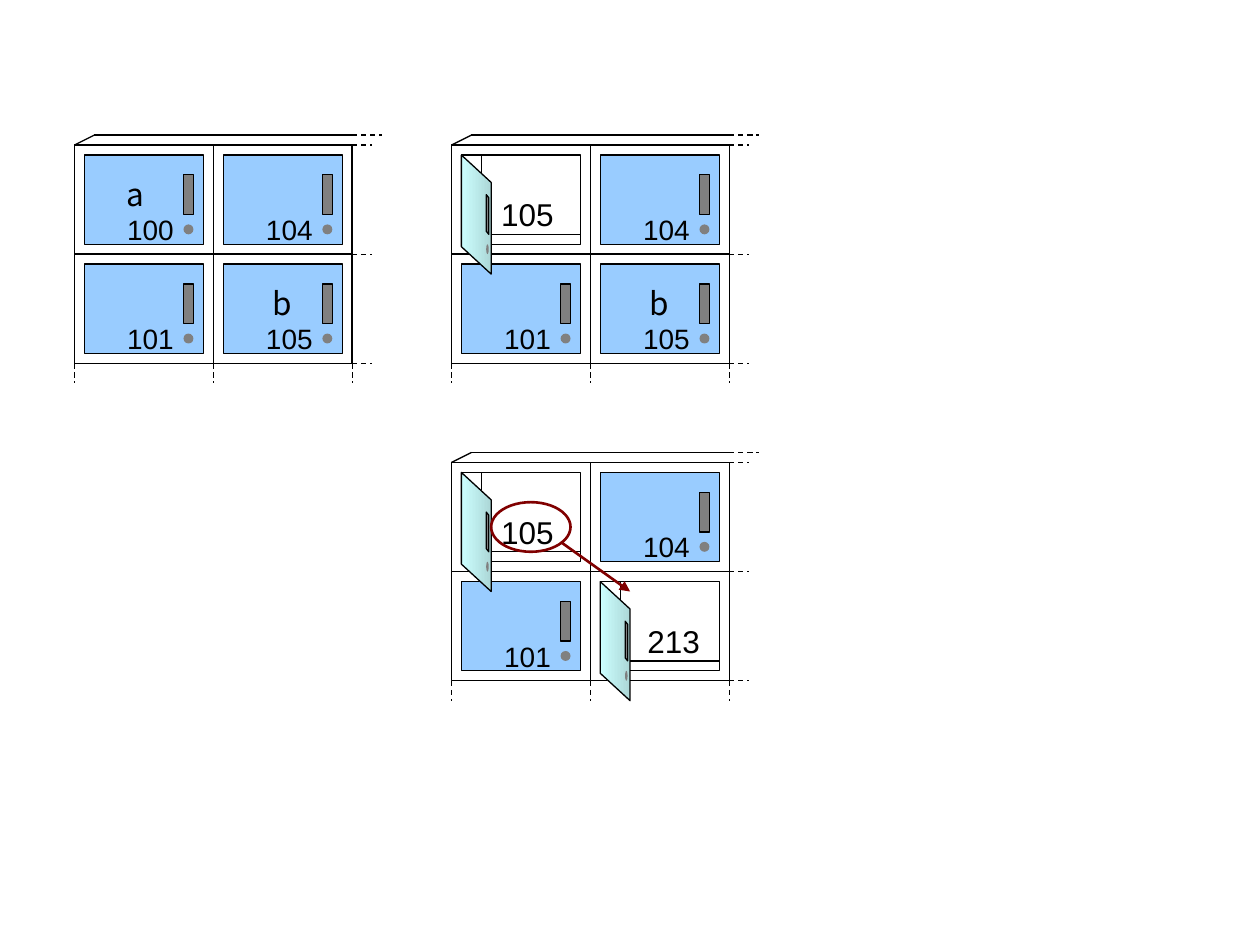
from dataclasses import dataclass

from lxml.etree import SubElement
from pptx import Presentation
from pptx.dml.color import RGBColor
from pptx.enum.dml import MSO_LINE
from pptx.enum.shapes import MSO_CONNECTOR, MSO_SHAPE
from pptx.enum.text import MSO_AUTO_SIZE, PP_ALIGN
from pptx.oxml.ns import qn
from pptx.util import Pt

UNIT = 5.67
CELL_WIDTH, CELL_HEIGHT = 14, 11


@dataclass(frozen=True)
class Theme:
    ink: str = "000000"
    frame: str = "FFFFFF"
    closed_door: str = "99CCFF"
    open_door_dark: str = "ACD7D7"
    open_door_light: str = "CCFFFF"
    fitting: str = "808080"
    pointer: str = "800000"
    font: str = "Arial"
    name_font: str = "Noto Sans CJK JP"
    address_size: int = 16
    content_size: int = 18
    thin: float = 0.75
    thick: float = 1.5


class Lockers:
    def __init__(self, slide, theme):
        self.slide = slide
        self.theme = theme
        self.shapes = slide.shapes
        self.left = self.top = 0

    def start_cabinet(self, left, top):
        self.left, self.top = left, top
        self.shapes = self.slide.shapes.add_group_shape().shapes

    def x(self, units):
        return Pt(round(self.left + units * UNIT, 2))

    def y(self, units):
        return Pt(round(self.top + units * UNIT, 2))

    def shape(self, kind, left, top, width, height, fill=None, line=None, weight=None):
        item = self.shapes.add_shape(
            kind, self.x(left), self.y(top), Pt(width * UNIT), Pt(height * UNIT))
        item.shadow.inherit = False
        if fill:
            item.fill.solid()
            item.fill.fore_color.rgb = RGBColor.from_string(fill)
        else:
            item.fill.background()
        if line:
            item.line.color.rgb = RGBColor.from_string(line)
            item.line.width = Pt(weight or self.theme.thin)
        else:
            item.line.fill.background()
        return item

    def line(self, start, end, dashed=False, color=None, weight=None, arrow=False):
        item = self.shapes.add_connector(
            MSO_CONNECTOR.STRAIGHT, self.x(start[0]), self.y(start[1]),
            self.x(end[0]), self.y(end[1]))
        item.line.color.rgb = RGBColor.from_string(color or self.theme.ink)
        item.line.width = Pt(weight or self.theme.thin)
        if dashed:
            item.line.dash_style = MSO_LINE.DASH
        properties = item._element.spPr
        if arrow:
            SubElement(properties.find(qn("a:ln")), qn("a:tailEnd"), type="triangle")
        SubElement(properties, qn("a:effectLst"))

    def text(self, words, left, top, width, height, size, font=None, align=PP_ALIGN.LEFT):
        box = self.shapes.add_textbox(
            self.x(left), self.y(top), Pt(width), Pt(height))
        frame = box.text_frame
        frame.margin_left = frame.margin_right = frame.margin_top = frame.margin_bottom = 0
        frame.word_wrap = False
        frame.auto_size = MSO_AUTO_SIZE.SHAPE_TO_FIT_TEXT
        paragraph = frame.paragraphs[0]
        paragraph.text = words
        paragraph.alignment = align
        paragraph.font.size = Pt(size)
        paragraph.font.name = font or self.theme.font
        paragraph.font.color.rgb = RGBColor.from_string(self.theme.ink)

    def backdrop(self):
        self.shape(MSO_SHAPE.RECTANGLE, -1, -2, 33, 27, self.theme.frame)

    def roof(self):
        self.line((0, 0), (2, -1))
        self.line((2, -1), (2 * CELL_WIDTH, -1))

    def continuation(self):
        right, bottom = 2 * CELL_WIDTH, 2 * CELL_HEIGHT
        self.line((right, -1), (right + 3, -1), dashed=True)
        for step in range(3):
            column, row = step * CELL_WIDTH, step * CELL_HEIGHT
            self.line((column, bottom), (column, bottom + 2), dashed=True)
            self.line((right, row), (right + 2, row), dashed=True)

    def cell(self, x, y, door_color=None):
        theme = self.theme
        self.shape(MSO_SHAPE.RECTANGLE, x, y, CELL_WIDTH, CELL_HEIGHT,
                   theme.frame, theme.ink)
        self.shape(MSO_SHAPE.RECTANGLE, x + 1, y + 1, CELL_WIDTH - 2, CELL_HEIGHT - 2,
                   door_color, theme.ink)

    def closed_cell(self, column, row, address):
        theme = self.theme
        x, y = column * CELL_WIDTH, row * CELL_HEIGHT
        self.cell(x, y, theme.closed_door)
        self.shape(MSO_SHAPE.RECTANGLE, x + 11, y + 3, 1, 4, theme.fitting, theme.ink)
        self.shape(MSO_SHAPE.OVAL, x + 11, y + 8, 1, 1, theme.fitting)
        self.text(address, x + 5.3, y + 6.8, 26.7, 19.4, theme.address_size,
                  align=PP_ALIGN.RIGHT)

    def slanted(self, center_x, center_y, length, width, slant, turn, fill):
        item = self.shape(MSO_SHAPE.PARALLELOGRAM, center_x - length / 2,
                          center_y - width / 2, length, width, fill, self.theme.ink)
        item.adjustments[0] = slant
        item.rotation = turn
        return item

    def open_cell(self, column, row, content, content_x):
        theme = self.theme
        x, y = column * CELL_WIDTH, row * CELL_HEIGHT
        self.cell(x, y)
        self.line((x + 3, y + 9), (x + 3, y + 1))
        self.line((x + 3, y + 9), (x + 13, y + 9))
        door = self.slanted(x + 2.5, y + 7, 12, 3, 0.92, 270, theme.open_door_dark)
        door.fill.gradient()
        door.fill.gradient_angle = 180
        for stop, color in zip(door.fill.gradient_stops,
                               (theme.open_door_dark, theme.open_door_light)):
            stop.color.rgb = RGBColor.from_string(color)
        door._element.spPr.find(qn("a:gradFill")).set("rotWithShape", "0")
        self.slanted(x + 3.63, y + 7, 4, 0.25, 1.26, 90, theme.fitting)
        self.shape(MSO_SHAPE.OVAL, x + 3.5, y + 10, 0.25, 1, theme.fitting)
        self.text(content, x + content_x, y + 5.05, 30.6, 21.8, theme.content_size)

    def variable(self, name, x, y):
        self.text(name, x, y, 10.8, 21.6, self.theme.content_size, self.theme.name_font)

    def pointer(self):
        style = {"weight": self.theme.thick}
        self.shape(MSO_SHAPE.OVAL, 4, 4, 8, 5, line=self.theme.pointer, **style)
        self.line((11, 8), (18, 13), color=self.theme.pointer, arrow=True, **style)


def main():
    presentation = Presentation()
    presentation.slide_width, presentation.slide_height = Pt(720), Pt(540)
    slide = presentation.slides.add_slide(presentation.slide_layouts[6])
    lockers = Lockers(slide, Theme())

    closed = {"100": (0, 0), "104": (1, 0), "101": (0, 1), "105": (1, 1)}
    pointed = ("105", 0, 0, 5)
    target = ("213", 1, 1, 5.75)
    name_a, name_b = ("a", 5.3, 3), ("b", 19.95, 14)
    cabinets = [
        (258, 264.3, ("104", "101"), (pointed, target), ()),
        (42.5, 82.9, ("100", "104", "101", "105"), (), (name_b, name_a)),
        (258, 82.9, ("104", "101", "105"), (pointed,), (name_b,)),
    ]
    for left, top, addresses, opened, variables in cabinets:
        lockers.start_cabinet(left, top)
        if variables:
            lockers.backdrop()
        lockers.roof()
        for address in addresses:
            lockers.closed_cell(*closed[address], address)
        lockers.continuation()
        for content, column, row, content_x in opened:
            lockers.open_cell(column, row, content, content_x)
        for name, x, y in variables:
            lockers.variable(name, x, y)
        if target in opened:
            lockers.pointer()

    presentation.save("out.pptx")


if __name__ == "__main__":
    main()
